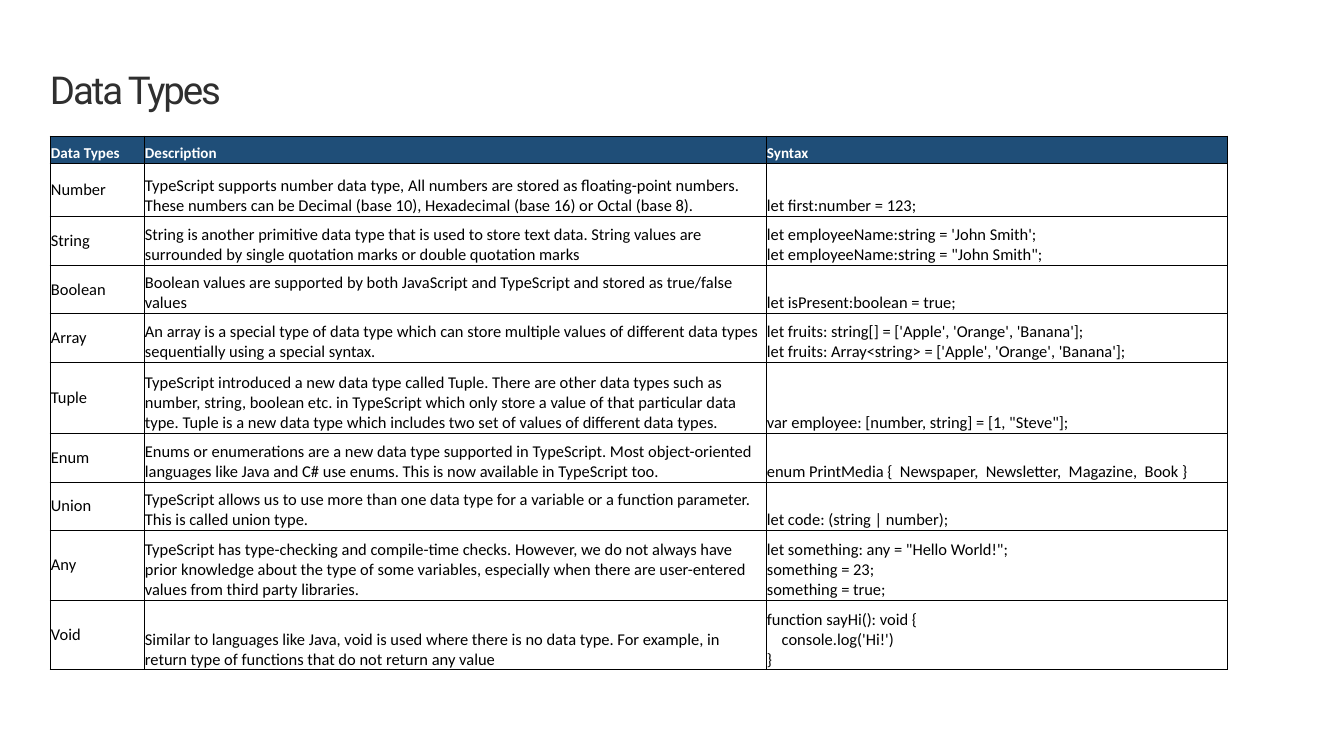
from lxml import etree
from pptx import Presentation
from pptx.dml.color import RGBColor
from pptx.enum.text import MSO_ANCHOR
from pptx.oxml.ns import qn
from pptx.util import Pt

MIDDLE = MSO_ANCHOR.MIDDLE
BOTTOM = MSO_ANCHOR.BOTTOM
SCALE = 9255
COLORS = {
    "title": "2F2F2F",
    "head": "1F4E78",
    "white": "FFFFFF",
    "black": "000000",
}
WIDTHS = [94, 622, 461]
HEIGHTS = [27, 53, 49, 48, 49, 71, 49, 48, 70, 70]
ROWS = [
    ("Data Types", "Description", "Syntax"),
    ("Number",
     "TypeScript supports number data type, All numbers are stored as "
     "floating-point numbers. These numbers can be Decimal (base 10), "
     "Hexadecimal (base 16) or Octal (base 8).",
     "let first:number = 123;"),
    ("String",
     "String is another primitive data type that is used to store text data. "
     "String values are surrounded by single quotation marks or double "
     "quotation marks",
     "let employeeName:string = 'John Smith';\n"
     "let employeeName:string = \"John Smith\";"),
    ("Boolean",
     "Boolean values are supported by both JavaScript and TypeScript and "
     "stored as true/false values",
     "let isPresent:boolean = true;"),
    ("Array",
     "An array is a special type of data type which can store multiple values "
     "of different data types sequentially using a special syntax.",
     "let fruits: string[] = ['Apple', 'Orange', 'Banana'];\n"
     "let fruits: Array<string> = ['Apple', 'Orange', 'Banana'];"),
    ("Tuple",
     "TypeScript introduced a new data type called Tuple. There are other data "
     "types such as number, string, boolean etc. in TypeScript which only store "
     "a value of that particular data type. Tuple is a new data type which "
     "includes two set of values of different data types.",
     "var employee: [number, string] = [1, \"Steve\"];"),
    ("Enum",
     "Enums or enumerations are a new data type supported in TypeScript. Most "
     "object-oriented languages like Java and C# use enums. This is now "
     "available in TypeScript too.",
     "enum PrintMedia {  Newspaper,  Newsletter,  Magazine,  Book }"),
    ("Union",
     "TypeScript allows us to use more than one data type for a variable or a "
     "function parameter. This is called union type.",
     "let code: (string | number);"),
    ("Any",
     "TypeScript has type-checking and compile-time checks. However, we do not "
     "always have prior knowledge about the type of some variables, especially "
     "when there are user-entered values from third party libraries.",
     "let something: any = \"Hello World!\";\n"
     "something = 23;\n"
     "something = true;"),
    ("Void",
     "Similar to languages like Java, void is used where there is no data type. "
     "For example, in return type of functions that do not return any value",
     "function sayHi(): void {\n"
     "    console.log('Hi!')\n"
     "}"),
]


def px(count):
    return count * SCALE


def color(name):
    return RGBColor.from_string(COLORS[name])


def add_run(para, text, face, size, tint, bold=False):
    run = para.add_run()
    run.text = text
    run.font.name = face
    run.font.size = Pt(size)
    run.font.bold = bold
    run.font.color.rgb = color(tint)
    return run


def add_title(slide, text):
    box = slide.shapes.add_textbox(px(50), px(68), px(1246), px(44))
    frame = box.text_frame
    frame.word_wrap = True
    frame.margin_left = frame.margin_right = 0
    frame.margin_top = frame.margin_bottom = 0
    para = frame.paragraphs[0]
    para.line_spacing = Pt(32)
    para.space_after = Pt(6)
    run = add_run(para, text, "Roboto", 28, "title")
    run.font._element.set("spc", "-150")


def add_edges(cell):
    props = cell._tc.get_or_add_tcPr()
    for side in ("a:lnL", "a:lnR", "a:lnT", "a:lnB"):
        line = etree.SubElement(props, qn(side), w=str(Pt(0.5)))
        fill = etree.SubElement(line, qn("a:solidFill"))
        etree.SubElement(fill, qn("a:srgbClr"), val=COLORS["black"])


def fill_cell(cell, text, head, label):
    cell.margin_left = cell.margin_right = cell.margin_top = px(1)
    cell.margin_bottom = 0
    cell.vertical_anchor = MIDDLE if label and not head else BOTTOM
    add_edges(cell)
    if head:
        cell.fill.solid()
        cell.fill.fore_color.rgb = color("head")
    else:
        cell.fill.background()
    size, tint = (11, "white") if head else (12, "black")
    para = cell.text_frame.paragraphs[0]
    for index, line in enumerate(text.split("\n")):
        if index:
            para.add_line_break()
        add_run(para, line, "Calibri", size, tint, head)


def add_grid(slide):
    frame = slide.shapes.add_table(
        len(ROWS), len(WIDTHS), px(50), px(136),
        px(sum(WIDTHS)), px(sum(HEIGHTS)))
    table = frame.table
    table.horz_banding = False
    for column, width in zip(table.columns, WIDTHS):
        column.width = px(width)
    for row, height in zip(table.rows, HEIGHTS):
        row.height = px(height)
    for r, texts in enumerate(ROWS):
        for c, text in enumerate(texts):
            fill_cell(table.cell(r, c), text, r == 0, c == 0)


def main():
    deck = Presentation()
    deck.slide_width = px(1344)
    deck.slide_height = px(756)
    slide = deck.slides.add_slide(deck.slide_layouts[6])
    add_title(slide, "Data Types")
    add_grid(slide)
    deck.save("out.pptx")


if __name__ == "__main__":
    main()
